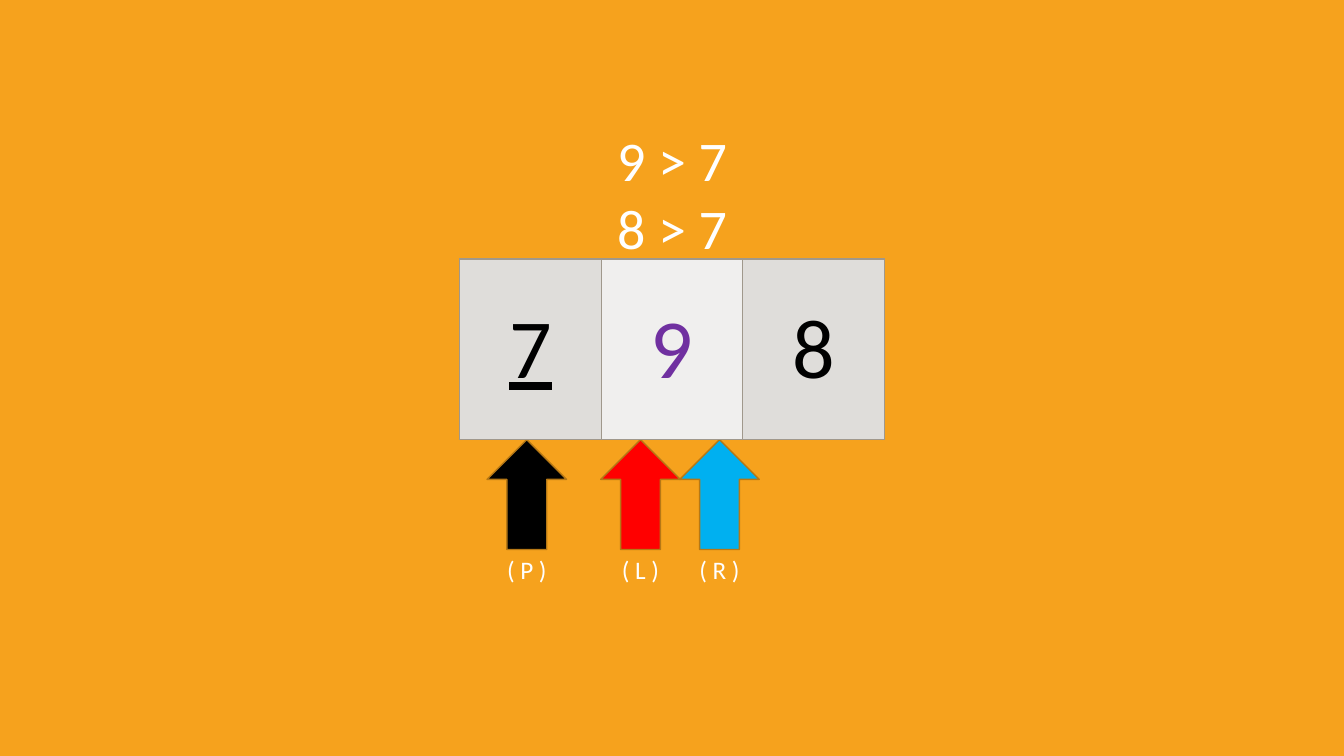
from lxml import etree
from pptx import Presentation
from pptx.dml.color import RGBColor
from pptx.enum.shapes import MSO_SHAPE
from pptx.enum.text import MSO_ANCHOR, PP_ALIGN
from pptx.oxml import parse_xml
from pptx.oxml.ns import nsdecls
from pptx.util import Pt

CENTER = PP_ALIGN.CENTER
MIDDLE = MSO_ANCHOR.MIDDLE
ARROW = MSO_SHAPE.DOWN_ARROW

ORANGE = RGBColor(0xF6, 0xA2, 0x1D)
BROWN = RGBColor(0xB6, 0x78, 0x15)
WHITE = RGBColor(0xFF, 0xFF, 0xFF)
BLACK = RGBColor(0, 0, 0)
RED = RGBColor(0xFF, 0, 0)
BLUE = RGBColor(0, 0xB0, 0xF0)
PURPLE = RGBColor(0x70, 0x30, 0xA0)
GREY = RGBColor(0xDF, 0xDD, 0xDA)
PALE = RGBColor(0xF0, 0xEF, 0xEE)
EDGE = RGBColor(0xA0, 0x98, 0x8C)


def write(frame, text, size=18, color=WHITE, line=False):
    for i, part in enumerate(text.split("\n")):
        para = frame.paragraphs[0] if i == 0 else frame.add_paragraph()
        para.alignment = CENTER
        run = para.add_run()
        run.text = part
        font = run.font
        font.name = "Calibri"
        font.size = Pt(size)
        font.color.rgb = color
        font.underline = line


class Board:
    def __init__(self, slide):
        self.slide = slide
        fill = slide.background.fill
        fill.solid()
        fill.fore_color.rgb = ORANGE

    def text(self, shapes, text, x, y, w, h, **style):
        box = shapes.add_textbox(Pt(x), Pt(y), Pt(w), Pt(h))
        box.text_frame.word_wrap = True
        write(box.text_frame, text, **style)

    def mark(self, name, mid, color, top=314, w=56.8, h=78.5, span=118):
        shapes = self.slide.shapes.add_group_shape().shapes
        arrow = shapes.add_shape(ARROW, Pt(mid - w / 2), Pt(top), Pt(w), Pt(h))
        arrow.rotation = 180
        arrow.shadow.inherit = False
        arrow.fill.solid()
        arrow.fill.fore_color.rgb = color
        arrow.line.color.rgb = BROWN
        arrow.line.width = Pt(1)
        self.text(shapes, f"( {name} )", mid - span / 2, top + h, span, 29)

    def border(self, cell):
        props = cell._tc.get_or_add_tcPr()
        for i, side in enumerate(("lnL", "lnR", "lnT", "lnB")):
            props.insert(i, parse_xml(
                f'<a:{side} {nsdecls("a")} w="{Pt(1)}"><a:solidFill>'
                f'<a:srgbClr val="{EDGE}"/></a:solidFill></a:{side}>'))

    def table(self, items, x, y, w, h):
        frame = self.slide.shapes.add_table(
            1, len(items), Pt(x), Pt(y), Pt(w * len(items)), Pt(h))
        grid = frame.table
        grid.first_row = False
        grid.horz_banding = False
        for i, (text, color, fill, line) in enumerate(items):
            grid.columns[i].width = Pt(w)
            cell = grid.cell(0, i)
            cell.vertical_anchor = MIDDLE
            cell.fill.solid()
            cell.fill.fore_color.rgb = fill
            self.border(cell)
            write(cell.text_frame, text, size=60, color=color, line=line)
            if line:
                self.outline(cell.text_frame.paragraphs[0].runs[0], color)

    def outline(self, run, color):
        props = run.font._element
        edge = parse_xml(f'<a:ln {nsdecls("a")} w="{Pt(0.75)}"/>')
        fill = etree.SubElement(edge, edge.tag.replace("}ln", "}solidFill"))
        tint = etree.SubElement(fill, edge.tag.replace("}ln", "}srgbClr"))
        tint.set("val", str(color))
        props.insert(0, edge)


def main():
    deck = Presentation()
    deck.slide_width, deck.slide_height = Pt(960), Pt(540)
    board = Board(deck.slides.add_slide(deck.slide_layouts[6]))

    for name, mid, color in (("L", 457.5, RED), ("P", 376.3, BLACK),
                             ("R", 513.9, BLUE)):
        board.mark(name, mid, color)

    board.text(board.slide.shapes, "9 > 7\n8 > 7", 212.2, 86.4, 535.6, 99,
               size=40)
    board.table((("7", BLACK, GREY, True),
                 ("9", PURPLE, PALE, False),
                 ("8", BLACK, GREY, False)), 328.3, 185, 101.1, 129)
    deck.save("out.pptx")


if __name__ == "__main__":
    main()
